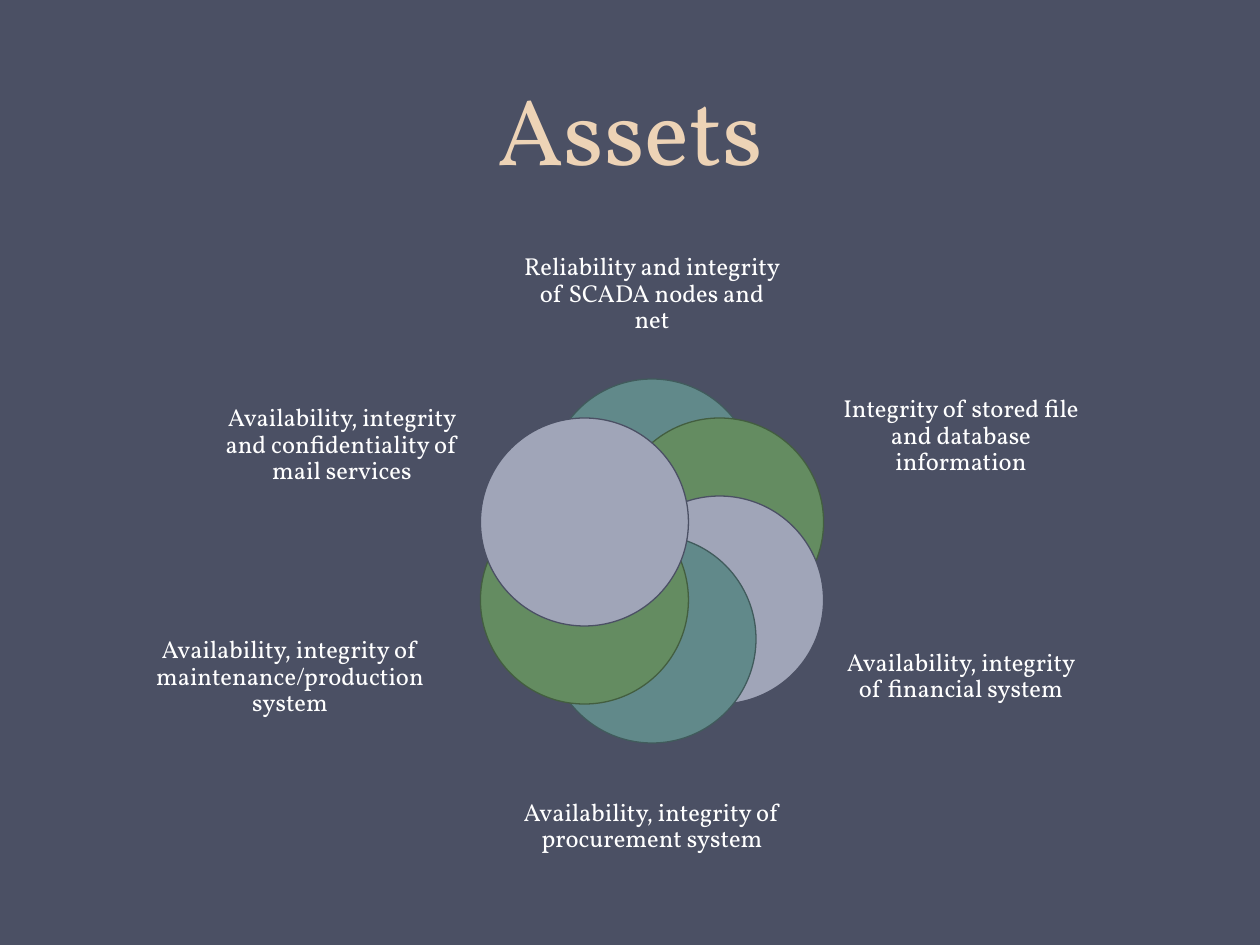
"""Build the Assets slide: six overlapping circles in a ring, each with a label."""
import math

import pptx
import pptx.dml.color
import pptx.enum.shapes
import pptx.enum.text
import pptx.util

PAGE = (1260, 945)
BACKGROUND = "4B5064"
FONT = "Vollkorn"
CENTRE = (652, 561)
RING_RADIUS = 78
DIAMETER = 208

TITLE = ("Assets", (63, 26, 1134, 165))
TITLE_FORMAT = {"size": pptx.util.Pt(54), "color": "EDD3B6",
                "spacing": pptx.util.Pt(58), "anchor": "BOTTOM"}
LABEL_FORMAT = {"size": pptx.util.Pt(14), "color": "FFFFFF",
                "spacing": 0.9, "anchor": "MIDDLE", "margin": 0}

# fill, line
PALETTE = [("61898A", "415B5C"), ("648C61", "435E40"), ("A0A5B8", "4B5064")]
ASSETS = [
    ("Reliability and integrity of SCADA nodes and net", (522, 224, 260, 141)),
    ("Integrity of stored file and database information", (838, 359, 246, 155)),
    ("Availability, integrity of financial system", (838, 590, 246, 173)),
    ("Availability, integrity of procurement system", (522, 756, 260, 141)),
    ("Availability, integrity of maintenance/production system", (123, 591, 334, 173)),
    ("Availability, integrity and confidentiality of mail services", (219, 359, 246, 173)),
]


def px(length):
    return round(length * 914400 / 126)


def colour(value):
    return pptx.dml.color.RGBColor.from_string(value)


def add_text(page, words, place, look):
    box = page.shapes.add_textbox(*map(px, place)).text_frame
    settings = {"word_wrap": True,
                "vertical_anchor": getattr(pptx.enum.text.MSO_ANCHOR, look["anchor"])}
    if "margin" in look:
        for side in ("left", "right", "top", "bottom"):
            settings["margin_" + side] = look["margin"]
    for name, value in settings.items():
        setattr(box, name, value)
    para = box.paragraphs[0]
    para.alignment = pptx.enum.text.PP_ALIGN.CENTER
    para.line_spacing = look["spacing"]
    span = para.add_run()
    span.text = words
    for name, value in {"name": FONT, "size": look["size"]}.items():
        setattr(span.font, name, value)
    span.font.color.rgb = colour(look["color"])


def add_circle(page, index):
    angle = math.tau * index / len(ASSETS)
    left = CENTRE[0] + RING_RADIUS * math.sin(angle) - DIAMETER / 2
    top = CENTRE[1] - RING_RADIUS * math.cos(angle) - DIAMETER / 2
    circle = page.shapes.add_shape(pptx.enum.shapes.MSO_SHAPE.OVAL,
                                   *map(px, (left, top, DIAMETER, DIAMETER)))
    fill, line = PALETTE[index % len(PALETTE)]
    circle.shadow.inherit = False
    circle.fill.solid()
    circle.fill.fore_color.rgb = colour(fill)
    circle.line.color.rgb = colour(line)
    circle.line.width = pptx.util.Pt(0.75)


def main():
    deck = pptx.Presentation()
    deck.slide_width, deck.slide_height = map(px, PAGE)
    page = deck.slides.add_slide(deck.slide_layouts[6])
    page.background.fill.solid()
    page.background.fill.fore_color.rgb = colour(BACKGROUND)
    add_text(page, *TITLE, TITLE_FORMAT)
    for index, (words, place) in enumerate(ASSETS):
        add_circle(page, index)
        add_text(page, words, place, LABEL_FORMAT)
    deck.save("out.pptx")


if __name__ == "__main__":
    main()
